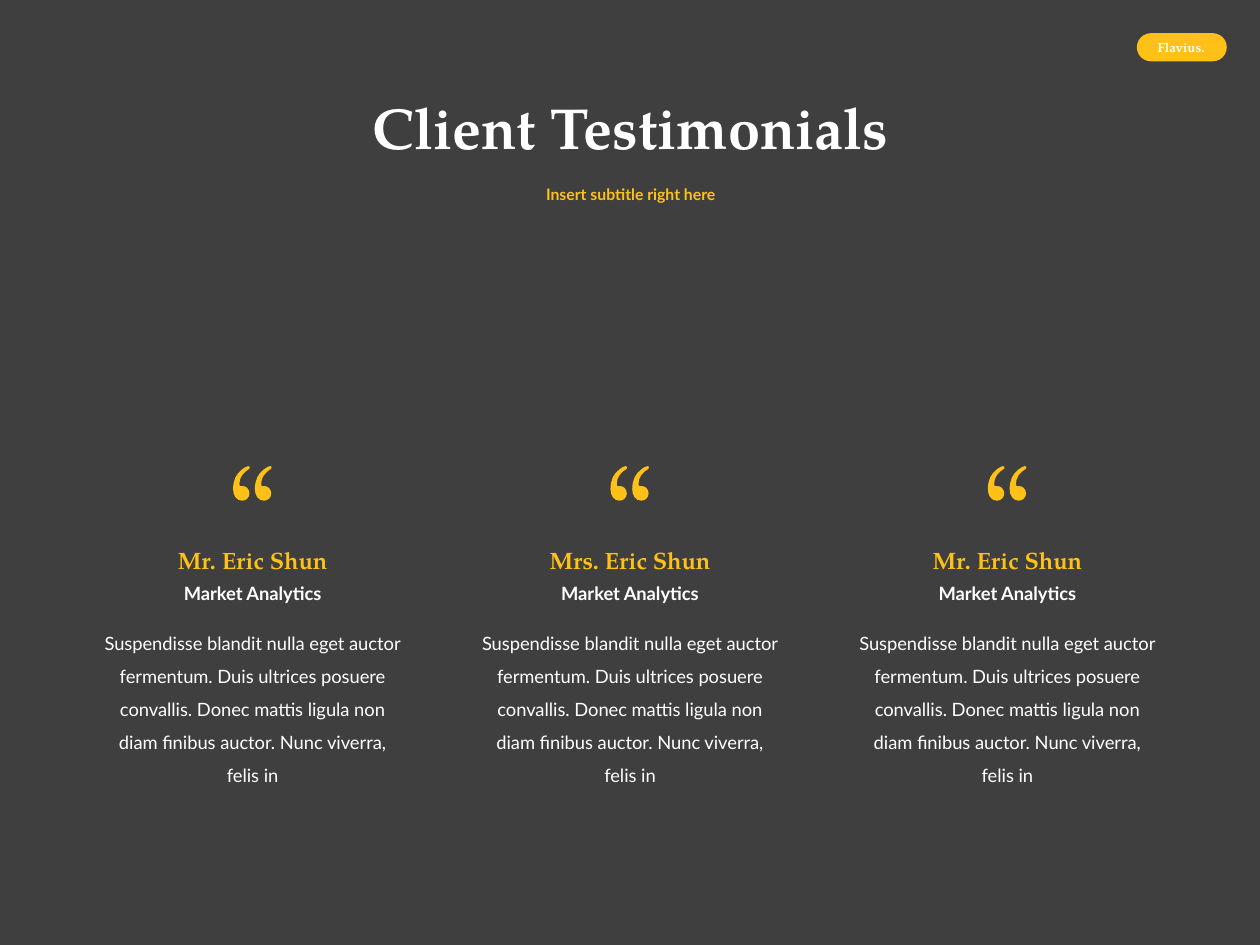
from collections import namedtuple

from lxml.etree import SubElement
from pptx import Presentation
from pptx.dml.color import RGBColor
from pptx.enum.shapes import MSO_SHAPE
from pptx.enum.text import MSO_ANCHOR as Anchor, MSO_AUTO_SIZE as AutoSize, PP_ALIGN as Align
from pptx.oxml.ns import qn
from pptx.util import Inches, Pt

COLORS = {"background": "3F3F3F", "accent": "FFC118", "text": "FFFFFF"}
SERIF = "TeX Gyre Pagella"
SANS = "Lato"
Box = namedtuple("Box", "left top width height")

QUOTE_START = (13, 2)
QUOTE_CURVES = [
    ((8, 5), (5, 9), (5, 14)),
    ((5, 15.2), (5.3, 16), (6, 16)),
    ((6.4, 16.1), (7, 15.8), (7.5, 15.8)),
    ((9, 15.8), (10.3, 16.4), (11.3, 17.4)),
    ((12.3, 18.6), (13, 20), (13, 21.7)),
    ((13, 23.3), (12.3, 24.7), (11.2, 25.8)),
    ((10.2, 26.8), (8.8, 27.4), (7.2, 27.4)),
    ((5, 27.4), (3.1, 26.4), (1.8, 24.6)),
    ((0.6, 22.9), (0, 20.7), (0, 18.2)),
    ((0, 14.8), (0.6, 11.8), (1.8, 9)),
    ((3, 6.5), (4.8, 4.4), (7.1, 2.6)),
    ((9.6, 0.8), (11, 0), (12, 0)),
    ((12.6, 0), (13, 0.2), (13.2, 0.5)),
    ((13.4, 0.9), (13.4, 1.3), (13, 2)),
]
QUOTE_WIDTH = 0.31
MARK_SHIFTS = (0, 17.3)

BODY = (
    "Suspendisse blandit nulla eget auctor fermentum. Duis ultrices posuere "
    "convallis. Donec mattis ligula non diam finibus auctor. Nunc viverra, felis in"
)


def rgb(name):
    return RGBColor.from_string(COLORS[name])


def paint(shape, color):
    shape.shadow.inherit = False
    shape.fill.solid()
    shape.fill.fore_color.rgb = rgb(color)


def place(shape, box):
    shape.left, shape.top, shape.width, shape.height = (Inches(value) for value in box)


def write(shape, text, size, font, color, bold=True, spacing=1.0,
          anchor=Anchor.TOP, auto_size=AutoSize.SHAPE_TO_FIT_TEXT):
    frame = shape.text_frame
    frame.word_wrap = True
    frame.auto_size = auto_size
    frame.vertical_anchor = anchor
    paragraph = frame.paragraphs[0]
    paragraph.alignment = Align.CENTER
    paragraph.line_spacing = spacing
    paragraph.space_before = Pt(0)
    run = paragraph.add_run()
    run.text = text
    run.font.size = Pt(size)
    run.font.name = font
    run.font.bold = bold
    run.font.color.rgb = rgb(color)


def add_text(slide, box, *args, **options):
    shape = slide.shapes.add_textbox(*(Inches(value) for value in box))
    write(shape, *args, **options)


def add_badge(slide, box):
    shape = slide.shapes.add_shape(
        MSO_SHAPE.ROUNDED_RECTANGLE, *(Inches(value) for value in box))
    shape.adjustments[0] = 0.5
    paint(shape, "accent")
    shape.line.color.rgb = rgb("accent")
    shape.line.width = Pt(1)
    label = Box(box.left + 0.03, box.top - 0.01, box.width - 0.07, box.height + 0.02)
    add_text(slide, label, "Flavius.", 7.5, SERIF, "text")


def add_heading(slide, box):
    title, subtitle = slide.placeholders
    place(title, Box(box.left, box.top, box.width, 1.03))
    place(subtitle, Box(box.left, box.top + 0.84, box.width, 0.38))
    layout = {"spacing": 0.9, "anchor": Anchor.MIDDLE, "auto_size": AutoSize.NONE}
    write(title, "Client Testimonials", 33, SERIF, "text", **layout)
    write(subtitle, "Insert subtitle right here", 9, SANS, "accent", **layout)


def bend_lines(shape, curves):
    lines = list(shape.element.iter(qn("a:lnTo")))
    for line, curve in zip(lines, curves):
        line.tag = qn("a:cubicBezTo")
        line.remove(line[0])
        for x, y in curve:
            SubElement(line, qn("a:pt"), x=str(x), y=str(y))


def add_quote(slide, left, top):
    def local(point, shift):
        return Inches((point[0] + shift) / 100), Inches(point[1] / 100)

    builder = slide.shapes.build_freeform(*local(QUOTE_START, MARK_SHIFTS[0]))
    curves = []
    for shift in MARK_SHIFTS:
        if curves:
            builder.move_to(*local(QUOTE_START, shift))
        mark = [[local(point, shift) for point in curve] for curve in QUOTE_CURVES]
        builder.add_line_segments([curve[-1] for curve in mark], close=True)
        curves += mark
    shape = builder.convert_to_shape(Inches(left), Inches(top))
    bend_lines(shape, curves)
    paint(shape, "accent")
    shape.line.fill.background()


def add_testimonial(slide, box, name):
    def centered(offset, width, height):
        return Box(box.left + (box.width - width) / 2, box.top + offset, width, height)

    add_text(slide, centered(0.58, 1.82, 0.33), name, 13.5, SERIF, "accent")
    add_text(slide, centered(0.87, 1.52, 0.28), "Market Analytics", 10.5, SANS, "text")
    add_text(slide, centered(1.18, box.width, 1.13), BODY, 10.5, SANS, "text",
             bold=False, spacing=1.5)
    add_quote(slide, centered(0, QUOTE_WIDTH, 0).left, box.top)


def main():
    presentation = Presentation()
    presentation.slide_width = Inches(10)
    presentation.slide_height = Inches(7.5)
    slide = presentation.slides.add_slide(presentation.slide_layouts[0])
    slide.background.fill.solid()
    slide.background.fill.fore_color.rgb = rgb("background")

    add_badge(slide, Box(9.03, 0.27, 0.7, 0.21))
    add_heading(slide, Box(2.19, 0.52, 5.63, 1.22))
    names = ("Mr. Eric Shun", "Mrs. Eric Shun", "Mr. Eric Shun")
    first_left, last_left = 0.71, 6.7
    pitch = (last_left - first_left) / (len(names) - 1)
    for column, name in enumerate(names):
        add_testimonial(slide, Box(first_left + pitch * column, 3.7, 2.59, 2.31), name)
    presentation.save("out.pptx")


if __name__ == "__main__":
    main()
